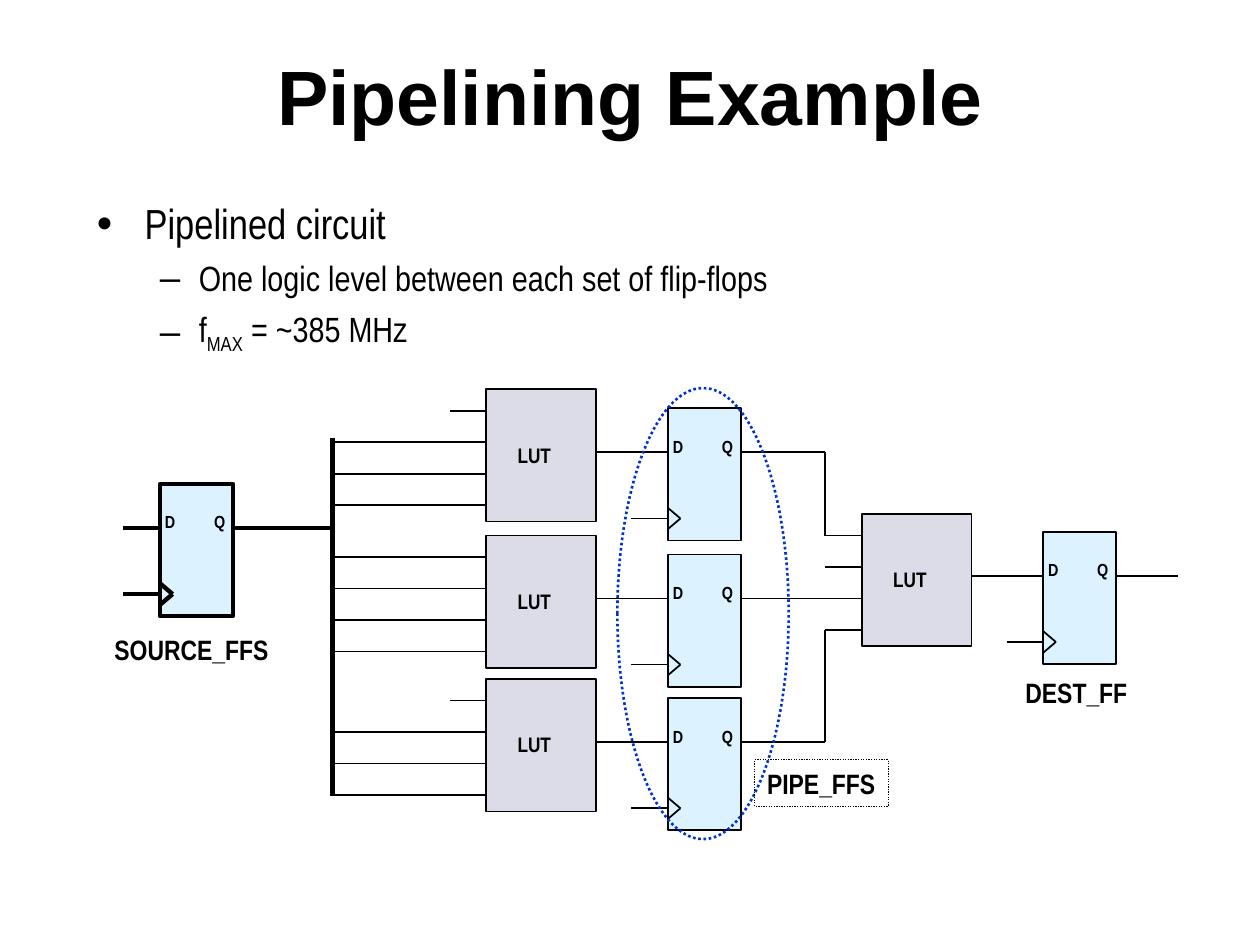
from itertools import pairwise

from lxml.etree import SubElement
from pptx import Presentation
from pptx.dml.color import RGBColor
from pptx.enum.dml import MSO_LINE
from pptx.enum.shapes import MSO_CONNECTOR, MSO_SHAPE as SHAPE
from pptx.enum.text import MSO_ANCHOR as ANCHOR, PP_ALIGN as ALIGN
from pptx.oxml.ns import qn
from pptx.util import Inches, Pt

BLACK = RGBColor(0x00, 0x00, 0x00)
LUT_FILL = RGBColor(0xDC, 0xDC, 0xE8)
FF_FILL = RGBColor(0xDD, 0xF2, 0xFF)
RING_BLUE = RGBColor(0x00, 0x33, 0xCC)

COLUMNS, ROWS = 100, 75
LUT_W, FF_W, BLOCK_H = 8.7, 5.8, 10.5
LUT_INPUTS = (1.7, 4.2, 6.7, 9.2)
LUT_OUT, FF_DATA, FF_CLOCK = 5, 3.5, 8.75
STUB = 2.9
BUS_X = 26.4


class Diagram:
    """Draws on one slide; positions are columns and rows of a 100 x 75 grid."""

    font = "Arial Narrow"

    def __init__(self, prs):
        self.slide = prs.slides.add_slide(prs.slide_layouts[6])
        self.col = prs.slide_width / COLUMNS
        self.row = prs.slide_height / ROWS

    def place(self, x, y):
        return round(x * self.col), round(y * self.row)

    def style(self, p, size, bold=True, font=None):
        for r in p.runs:
            r.font.name = font or self.font
            r.font.size = Pt(size)
            r.font.bold = bold
            r.font.color.rgb = BLACK

    def text(self, x, y, w, h, words, size, align=ALIGN.LEFT, wrap=False, font=None):
        s = self.slide.shapes.add_textbox(*self.place(x, y), *self.place(w, h))
        tf = s.text_frame
        tf.word_wrap = wrap
        tf.text = words
        p = tf.paragraphs[0]
        p.alignment = align
        self.style(p, size, font=font)
        return s

    def bullets(self, x, y, w, h, items):
        """Each item is (level, list of (text, is_subscript))."""
        tf = self.slide.shapes.add_textbox(*self.place(x, y), *self.place(w, h)).text_frame
        tf.word_wrap = True
        looks = (("•", 0.38, 0.38, 24), ("–", 0.81, 0.31, 20))
        for i, (level, parts) in enumerate(items):
            mark, margin, hang, size = looks[level]
            p = tf.add_paragraph() if i else tf.paragraphs[0]
            p.level = level
            pPr = p._p.get_or_add_pPr()
            pPr.set("marL", str(Inches(margin)))
            pPr.set("indent", str(-Inches(hang)))
            SubElement(pPr, qn("a:buSzPct")).set("val", "105000")
            SubElement(pPr, qn("a:buFont")).set("typeface", "Arial")
            SubElement(pPr, qn("a:buChar")).set("char", mark)
            if i:
                p.space_before = Pt(5)
            for words, subscript in parts:
                r = p.add_run()
                r.text = words
                if subscript:
                    r._r.get_or_add_rPr().set("baseline", "-25000")
            self.style(p, size, bold=False)

    def block(self, kind, x, y, w, h, fill=None, color=BLACK, weight=1, dash=None):
        s = self.slide.shapes.add_shape(kind, *self.place(x, y), *self.place(w, h))
        s.shadow.inherit = False
        if fill is None:
            s.fill.background()
        else:
            s.fill.solid()
            s.fill.fore_color.rgb = fill
        s.line.color.rgb = color
        s.line.width = Pt(weight)
        if dash:
            s.line.dash_style = dash
        return s

    def wire(self, *points, weight=1):
        for start, end in pairwise(points):
            s = self.slide.shapes.add_connector(
                MSO_CONNECTOR.STRAIGHT, *self.place(*start), *self.place(*end))
            s.line.color.rgb = BLACK
            s.line.width = Pt(weight)
            SubElement(s._element.spPr, qn("a:effectLst"))

    def lut(self, x, y, input_starts):
        self.block(SHAPE.RECTANGLE, x, y, LUT_W, BLOCK_H, LUT_FILL)
        for start, dy in zip(input_starts, LUT_INPUTS):
            self.wire((start, y + dy), (x, y + dy))
        self.text(x + 1.5, y + 3.7, 5.4, 3, "LUT", 12)

    def flip_flop(self, x, y, weight=1):
        self.block(SHAPE.RECTANGLE, x, y, FF_W, BLOCK_H, FF_FILL, weight=weight)
        clock = y + FF_CLOCK
        self.wire((x, clock - 0.85), (x + 1, clock), (x, clock + 0.85), weight=weight)
        self.wire((x - STUB, clock), (x, clock), weight=weight)
        for pin, dx in (("D", -0.6), ("Q", 3.3)):
            self.text(x + dx, y + 1.7, 2.8, 2.7, pin, 10, ALIGN.CENTER)


def main():
    prs = Presentation()
    prs.slide_width, prs.slide_height = Inches(10), Inches(7.5)
    d = Diagram(prs)

    title = d.text(6.7, 2.1, 86.7, 10.8, "Pipelining Example", 44,
                   ALIGN.CENTER, wrap=True, font="Arial")
    title.text_frame.vertical_anchor = ANCHOR.MIDDLE
    d.bullets(6.7, 15.2, 86.7, 14, [
        (0, [("Pipelined circuit", False)]),
        (1, [("One logic level between each set of flip-flops", False)]),
        (1, [("f", False), ("MAX", True), (" = ~385 MHz", False)]),
    ])

    # Source flip-flop and the bus it drives
    source_x, source_y = 12.7, 38.4
    data = source_y + FF_DATA
    d.flip_flop(source_x, source_y, weight=2.5)
    d.wire((source_x - STUB, data), (source_x, data), weight=2.5)
    d.wire((source_x + FF_W, data), (BUS_X, data), weight=2.5)
    d.wire((BUS_X, 34.8), (BUS_X, 63.2), weight=2.5)

    # Three stages: look-up table, then pipeline flip-flop
    lut_x, pipe_x = 38.6, 53
    unused = lut_x - STUB
    for y, first_input in ((30.9, unused), (42.5, BUS_X), (53.9, unused)):
        d.lut(lut_x, y, (first_input, BUS_X, BUS_X, BUS_X))
        d.wire((lut_x + LUT_W, y + LUT_OUT), (pipe_x, y + LUT_OUT))
        d.flip_flop(pipe_x, y + 1.5)

    # Final look-up table, fed by the pipeline flip-flops
    final_x, final_y, turn_x = 68.4, 40.8, 65.5
    d.lut(final_x, final_y, [turn_x] * len(LUT_INPUTS))
    for y, pin in ((35.9, 0), (47.5, 2), (58.9, 3)):
        d.wire((pipe_x + FF_W, y), (turn_x, y))
        if pin != 2:
            d.wire((turn_x, y), (turn_x, final_y + LUT_INPUTS[pin]))

    # Destination flip-flop
    dest_x, dest_y = 82.8, 42.2
    data = dest_y + FF_DATA
    d.flip_flop(dest_x, dest_y)
    d.wire((final_x + LUT_W, data), (dest_x, data))
    d.wire((dest_x + FF_W, data), (93.5, data))

    d.text(8.1, 49.7, 14.2, 3.7, "SOURCE_FFS", 16)
    d.text(80.4, 53.1, 10.1, 3.7, "DEST_FF", 16)
    d.block(SHAPE.OVAL, 49, 30.8, 13.6, 35.8, color=RING_BLUE, weight=1.5,
            dash=MSO_LINE.ROUND_DOT)
    label = d.block(SHAPE.RECTANGLE, 59.9, 60.3, 10.6, 3.7, weight=0.75,
                    dash=MSO_LINE.ROUND_DOT)
    tf = label.text_frame
    tf.word_wrap = False
    tf.text = "PIPE_FFS"
    tf.paragraphs[0].alignment = ALIGN.LEFT
    d.style(tf.paragraphs[0], 16)

    prs.save("out.pptx")


if __name__ == "__main__":
    main()
